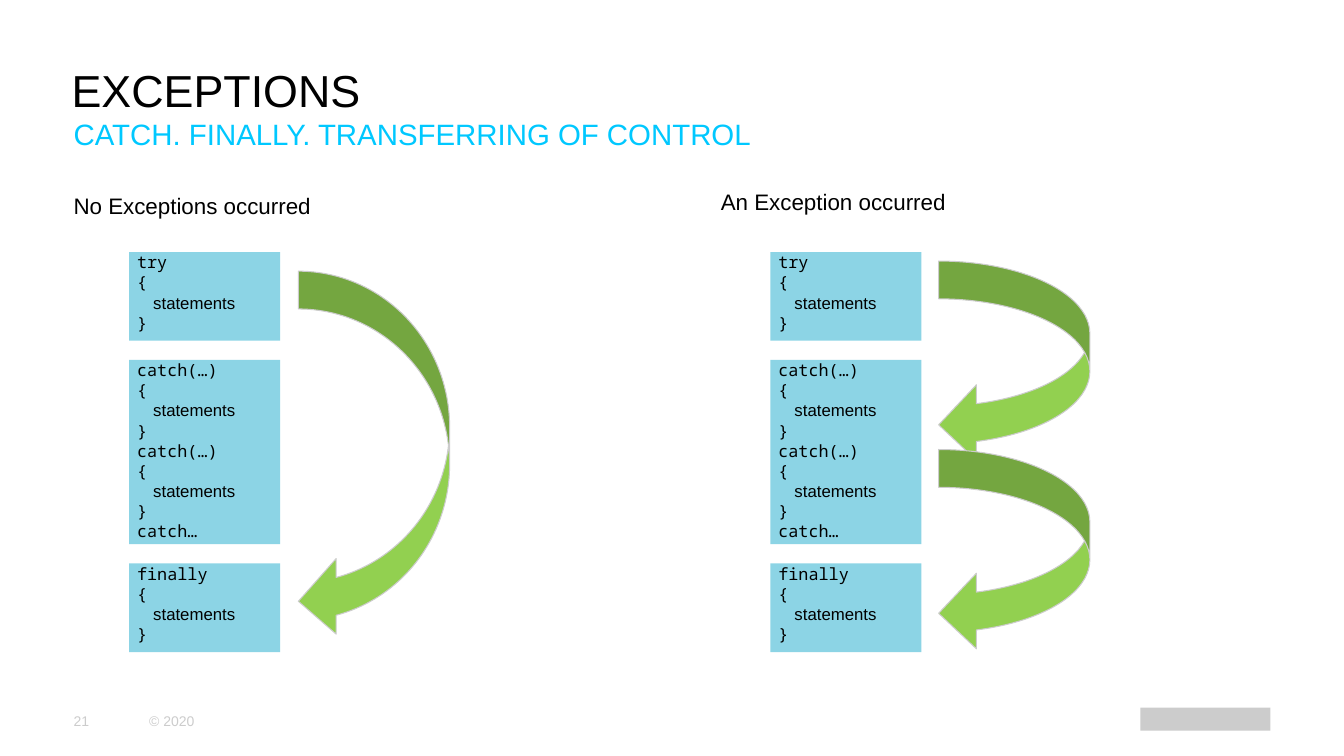
from dataclasses import dataclass

import pptx
import pptx.dml.color
import pptx.enum.shapes
import pptx.enum.text
import pptx.util

EMU_PER_PX = 9144  # 100 px to the inch
SANS = "Arial"
MONO = "Noto Sans Mono"
BLACK = "000000"
GREY = "CCCCCC"
CYAN = "00C8FF"
BLOCK_BLUE = "8CD4E5"
ARROW_GREEN = "92D050"
TOP = pptx.enum.text.MSO_ANCHOR.TOP
MIDDLE = pptx.enum.text.MSO_ANCHOR.MIDDLE
BOTTOM = pptx.enum.text.MSO_ANCHOR.BOTTOM
RECTANGLE = pptx.enum.shapes.MSO_SHAPE.RECTANGLE
CURVED_ARROW = pptx.enum.shapes.MSO_SHAPE.CURVED_LEFT_ARROW


@dataclass(frozen=True)
class Box:
    left: int
    top: int
    width: int
    height: int


@dataclass(frozen=True)
class Label:
    text: str
    box: Box
    size: int
    color: str = BLACK
    anchor: pptx.enum.text.MSO_ANCHOR = TOP


@dataclass(frozen=True)
class CodeBlock:
    top: int
    height: int
    lines: tuple[str, ...]


@dataclass(frozen=True)
class Scenario:
    blocks_left: int
    arrows: tuple[Box, ...]


def px(length: int) -> pptx.util.Emu:
    return pptx.util.Emu(length * EMU_PER_PX)


def rgb(color: str) -> pptx.dml.color.RGBColor:
    return pptx.dml.color.RGBColor.from_string(color)


def place(box: Box) -> tuple[pptx.util.Emu, ...]:
    return px(box.left), px(box.top), px(box.width), px(box.height)


def prepare_frame(frame, anchor) -> None:
    frame.margin_left = frame.margin_right = 0
    frame.margin_top = frame.margin_bottom = 0
    frame.word_wrap = True
    frame.vertical_anchor = anchor


def style_paragraph(paragraph, size: int, font: str, color: str) -> None:
    paragraph.alignment = pptx.enum.text.PP_ALIGN.LEFT
    for run in paragraph.runs:
        run.font.size = pptx.util.Pt(size)
        run.font.name = font
        run.font.color.rgb = rgb(color)


def add_label(slide, label: Label) -> None:
    frame = slide.shapes.add_textbox(*place(label.box)).text_frame
    prepare_frame(frame, label.anchor)
    frame.text = label.text
    style_paragraph(frame.paragraphs[0], label.size, SANS, label.color)


def add_filled_shape(slide, kind, box: Box, color: str):
    shape = slide.shapes.add_shape(kind, *place(box))
    shape.shadow.inherit = False
    shape.fill.solid()
    shape.fill.fore_color.rgb = rgb(color)
    shape.line.fill.background()
    return shape


def add_code_block(slide, left: int, block: CodeBlock) -> None:
    box = Box(left, block.top, 150, block.height)
    frame = add_filled_shape(slide, RECTANGLE, box, BLOCK_BLUE).text_frame
    prepare_frame(frame, TOP)
    frame.text = "\n".join(block.lines)
    for paragraph in frame.paragraphs:
        is_body = paragraph.text == "statements"
        indent = px(24 if is_body else 8)
        properties = paragraph._p.get_or_add_pPr()
        properties.set("marL", str(indent))
        properties.set("indent", "0")
        paragraph.line_spacing = pptx.util.Pt(14.4)
        style_paragraph(paragraph, 12, SANS if is_body else MONO, BLACK)


def add_control_arrow(slide, box: Box) -> None:
    arrow = add_filled_shape(slide, CURVED_ARROW, box, ARROW_GREEN)
    arrow.line.color.rgb = rgb(GREY)
    arrow.line.width = pptx.util.Pt(0.75)


BODY = ("{", "statements", "}")
CATCH = ("catch(…)", *BODY)
CODE_BLOCKS = (
    CodeBlock(250, 88, ("try", *BODY)),
    CodeBlock(357, 183, (*CATCH, *CATCH, "catch…")),
    CodeBlock(559, 88, ("finally", *BODY)),
)
SCENARIOS = (
    Scenario(128, (Box(296, 269, 150, 365),)),
    Scenario(764, (Box(931, 259, 150, 200), Box(931, 446, 150, 200))),
)
LABELS = (
    Label("EXCEPTIONS", Box(71, 1, 1190, 115), 32, anchor=BOTTOM),
    Label("CATCH. FINALLY. TRANSFERRING OF CONTROL",
          Box(73, 115, 1187, 44), 21, CYAN),
    Label("No Exceptions occurred", Box(73, 191, 247, 35), 16),
    Label("An Exception occurred", Box(715, 187, 247, 35), 16),
    Label("21", Box(73, 695, 74, 40), 10, GREY, MIDDLE),
    Label("© 2020", Box(148, 695, 108, 40), 10, GREY, MIDDLE),
)


def main() -> None:
    presentation = pptx.Presentation()
    presentation.slide_width = px(1333)
    presentation.slide_height = px(750)
    slide = presentation.slides.add_slide(presentation.slide_layouts[6])

    # Headings and footer
    for label in LABELS:
        add_label(slide, label)

    # Plain block in the logo's place
    add_filled_shape(slide, RECTANGLE, Box(1131, 702, 129, 23), GREY)

    # Code blocks and transfer of control
    for scenario in SCENARIOS:
        for block in CODE_BLOCKS:
            add_code_block(slide, scenario.blocks_left, block)
        for arrow_box in scenario.arrows:
            add_control_arrow(slide, arrow_box)

    presentation.save("out.pptx")


if __name__ == "__main__":
    main()
